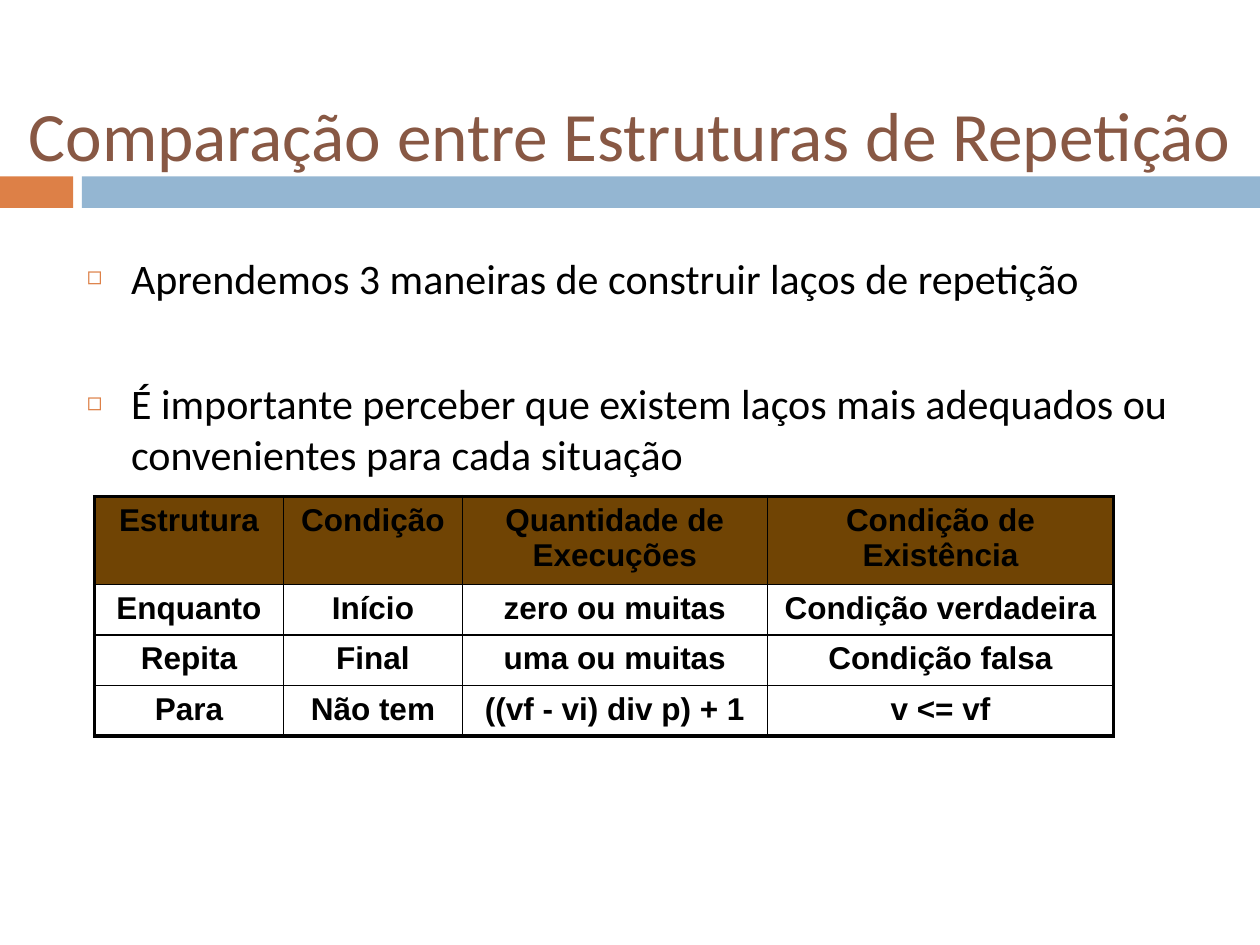
import pptx
import pptx.dml.color
import pptx.enum.shapes
import pptx.enum.text
import pptx.oxml
import pptx.oxml.ns
import pptx.util

Inches, Pt = pptx.util.Inches, pptx.util.Pt
RGB = pptx.dml.color.RGBColor.from_string
ALIGN = pptx.enum.text.PP_ALIGN
ANCHOR = pptx.enum.text.MSO_ANCHOR
NS = pptx.oxml.ns.nsdecls("a")

THEME = {
    "orange": "DD8047", "blue": "94B6D2", "title": "885844",
    "text": "000000", "header": "704404",
    "font": "Calibri", "table_font": "Arial",
    "title_size": 39.6, "body_size": 24, "table_size": 18,
    "outer_line": 2.25, "inner_line": 1,
}


def write(p, text, font=THEME["font"], size=THEME["body_size"],
          color=THEME["text"], bold=False, align=ALIGN.LEFT, before=0):
    p.alignment = align
    p.space_before = Pt(before)
    r = p.add_run()
    r.text = text
    r.font.name, r.font.size, r.font.bold = font, Pt(size), bold
    r.font.color.rgb = RGB(color)


prs = pptx.Presentation()
prs.slide_width, prs.slide_height = Inches(10), Inches(7.5)
s = prs.slides.add_slide(prs.slide_layouts[1])
title, body = s.placeholders[0], s.placeholders[1]

# Band under the title
for left, width, color in [(0, 0.58, "orange"), (0.65, 9.35, "blue")]:
    sp = s.shapes.add_shape(pptx.enum.shapes.MSO_SHAPE.RECTANGLE,
                            Inches(left), Inches(1.4), Inches(width), Inches(0.25))
    sp.shadow.inherit = False
    sp.fill.solid()
    sp.fill.fore_color.rgb = RGB(THEME[color])
    sp.line.fill.background()

# Title and body placeholders
for sp, box, anchor in [(title, (0, 0.56, 10, 1), ANCHOR.MIDDLE),
                        (body, (0.59, 1.95, 8.91, 5), ANCHOR.TOP)]:
    sp.left, sp.top, sp.width, sp.height = map(Inches, box)
    tf = sp.text_frame
    tf.word_wrap = True
    tf.auto_size = pptx.enum.text.MSO_AUTO_SIZE.NONE
    tf.vertical_anchor = anchor

write(title.text_frame.paragraphs[0], "Comparação entre Estruturas de Repetição",
      size=THEME["title_size"], color=THEME["title"], align=ALIGN.CENTER)

# Bulleted list
bullets = [
    "Aprendemos 3 maneiras de construir laços de repetição",
    "É importante perceber que existem laços mais adequados ou "
    "convenientes para cada situação",
]
tf = body.text_frame
for i, text in enumerate(bullets):
    p = tf.add_paragraph() if i else tf.paragraphs[0]
    pPr = p._p.get_or_add_pPr()
    pPr.set("marL", str(Inches(0.35)))
    pPr.set("indent", str(-Inches(0.35)))
    for xml in (f'<a:buClr {NS}><a:srgbClr val="{THEME["orange"]}"/></a:buClr>',
                f'<a:buSzPct {NS} val="60000"/>',
                f'<a:buChar {NS} char="◻"/>'):
        pPr.append(pptx.oxml.parse_xml(xml))
    write(p, text, before=43 if i else 0)

# Comparison table
rows = [
    ["Estrutura", "Condição", "Quantidade de Execuções", "Condição de Existência"],
    ["Enquanto", "Início", "zero ou muitas", "Condição verdadeira"],
    ["Repita", "Final", "uma ou muitas", "Condição falsa"],
    ["Para", "Não tem", "((vf - vi) div p) + 1", "v <= vf"],
]
col_widths = [1.5, 1.42, 2.42, 2.75]
row_heights = [0.7, 0.4, 0.4, 0.4]
table = s.shapes.add_table(len(rows), len(col_widths), Inches(0.75), Inches(3.94),
                           Inches(sum(col_widths)), Inches(sum(row_heights))).table
table.first_row = table.horz_banding = False
for col, width in zip(table.columns, col_widths):
    col.width = Inches(width)
for row, height in zip(table.rows, row_heights):
    row.height = Inches(height)

last_row, last_col = len(rows) - 1, len(col_widths) - 1
for i, row in enumerate(rows):
    for j, text in enumerate(row):
        cell = table.cell(i, j)
        write(cell.text_frame.paragraphs[0], text, font=THEME["table_font"],
              size=THEME["table_size"], bold=True, align=ALIGN.CENTER)
        # Borders: thick on the outside, thin inside
        tcPr = cell._tc.get_or_add_tcPr()
        for side, outer in [("L", j == 0), ("R", j == last_col),
                            ("T", i == 0), ("B", i == last_row)]:
            width = Pt(THEME["outer_line" if outer else "inner_line"])
            tcPr.append(pptx.oxml.parse_xml(
                f'<a:ln{side} {NS} w="{width}"><a:solidFill>'
                f'<a:srgbClr val="{THEME["text"]}"/></a:solidFill></a:ln{side}>'))
        if i == 0:
            cell.fill.solid()
            cell.fill.fore_color.rgb = RGB(THEME["header"])
        else:
            cell.fill.background()

prs.save("out.pptx")
